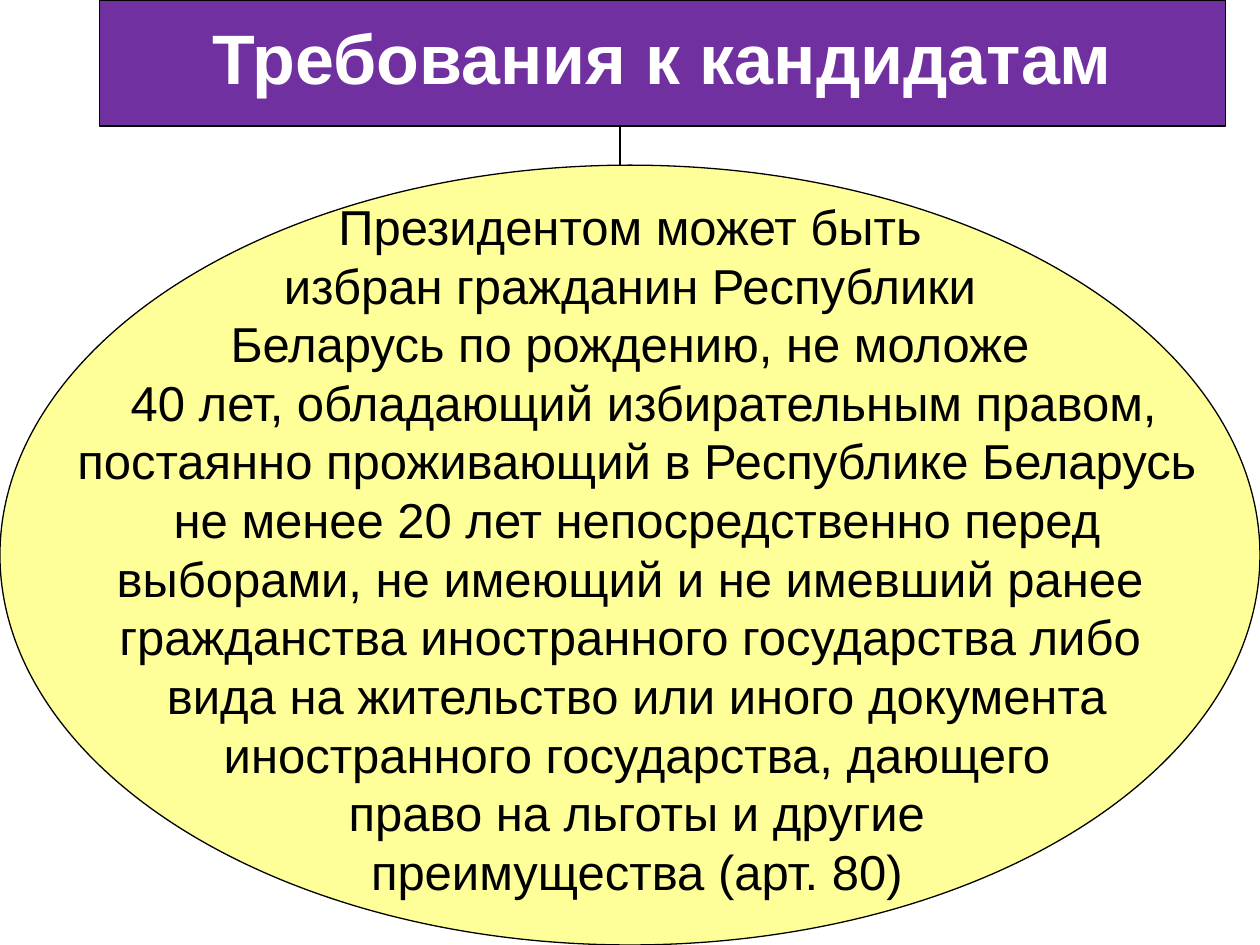
from dataclasses import dataclass

from lxml import etree
from pptx import Presentation
from pptx.dml.color import RGBColor
from pptx.enum import shapes, text
from pptx.oxml.ns import qn
from pptx.util import Cm, Length, Pt


@dataclass(frozen=True)
class Theme:
    font: str = "Arial"
    purple: RGBColor = RGBColor(0x70, 0x30, 0xA0)
    yellow: RGBColor = RGBColor(0xFF, 0xFF, 0x99)
    white: RGBColor = RGBColor(0xFF, 0xFF, 0xFF)
    black: RGBColor = RGBColor(0x00, 0x00, 0x00)
    title_size: Length = Pt(40)
    body_size: Length = Pt(28)
    outline: Length = Pt(0.75)


@dataclass(frozen=True)
class Line:
    wording: str
    indent: Length = Pt(0)


@dataclass(frozen=True)
class Panel:
    kind: shapes.MSO_SHAPE
    left: Length
    top: Length
    width: Length
    height: Length
    fill: RGBColor
    ink: RGBColor
    size: Length
    bold: bool
    leading: Length
    gap: Length
    lines: tuple[Line, ...]


THEME = Theme()
SLIDE_WIDTH, SLIDE_HEIGHT = Cm(25.4), Cm(19.05)
OVAL_TOP = Cm(3.33)
STEM_X = Cm(12.5)
NUDGE = Pt(7.8)  # one space at body size

heading = Panel(
    shapes.MSO_SHAPE.RECTANGLE, Cm(2), Cm(0), Cm(22.7), Cm(2.54),
    THEME.purple, THEME.white, THEME.title_size, True, Pt(41), Pt(0),
    (Line("Требования к кандидатам"),),
)

requirements = Panel(
    shapes.MSO_SHAPE.OVAL, Cm(0), OVAL_TOP, SLIDE_WIDTH, SLIDE_HEIGHT - OVAL_TOP,
    THEME.yellow, THEME.black, THEME.body_size, False, Pt(26), Pt(7.5),
    (
        Line("Президентом может быть"),
        Line("избран гражданин Республики"),
        Line("Беларусь по рождению, не моложе"),
        Line("40 лет, обладающий избирательным правом,", 2 * NUDGE),
        Line("постаянно проживающий в Республике Беларусь", NUDGE),
        Line("не менее 20 лет непосредственно перед", NUDGE),
        Line("выборами, не имеющий и не имевший ранее"),
        Line("гражданства иностранного государства либо"),
        Line("вида на жительство или иного документа", NUDGE),
        Line("иностранного государства, дающего", NUDGE),
        Line("право на льготы и другие", NUDGE),
        Line("преимущества (арт. 80)", NUDGE),
    ),
)


def draw_panel(slide, panel: Panel) -> None:
    shape = slide.shapes.add_shape(
        panel.kind, panel.left, panel.top, panel.width, panel.height)
    shape.shadow.inherit = False
    shape.fill.solid()
    shape.fill.fore_color.rgb = panel.fill
    shape.line.color.rgb = THEME.black
    shape.line.width = THEME.outline

    frame = shape.text_frame
    frame.word_wrap = False
    frame.vertical_anchor = text.MSO_ANCHOR.MIDDLE
    for index, line in enumerate(panel.lines):
        paragraph = frame.add_paragraph() if index else frame.paragraphs[0]
        paragraph.alignment = text.PP_ALIGN.CENTER
        paragraph.line_spacing = panel.leading
        if index:
            paragraph.space_before = panel.gap
        if line.indent:
            paragraph._p.get_or_add_pPr().set("marL", str(int(line.indent)))
        run = paragraph.add_run()
        run.text = line.wording
        run.font.name = THEME.font
        run.font.size = panel.size
        run.font.bold = panel.bold
        run.font.color.rgb = panel.ink


def draw_stem(slide, x: Length, top: Length, bottom: Length) -> None:
    stem = slide.shapes.add_connector(
        shapes.MSO_CONNECTOR.STRAIGHT, x, top, x, bottom)
    stem.line.color.rgb = THEME.black
    stem.line.width = THEME.outline
    etree.SubElement(stem._element.spPr, qn("a:effectLst"))


def main() -> None:
    deck = Presentation()
    deck.slide_width, deck.slide_height = SLIDE_WIDTH, SLIDE_HEIGHT
    slide = deck.slides.add_slide(deck.slide_layouts[6])

    # Heading bar and the requirements below it
    for panel in (heading, requirements):
        draw_panel(slide, panel)

    # Line joining the two
    draw_stem(slide, STEM_X, heading.top + heading.height, OVAL_TOP)

    deck.save("out.pptx")


if __name__ == "__main__":
    main()
